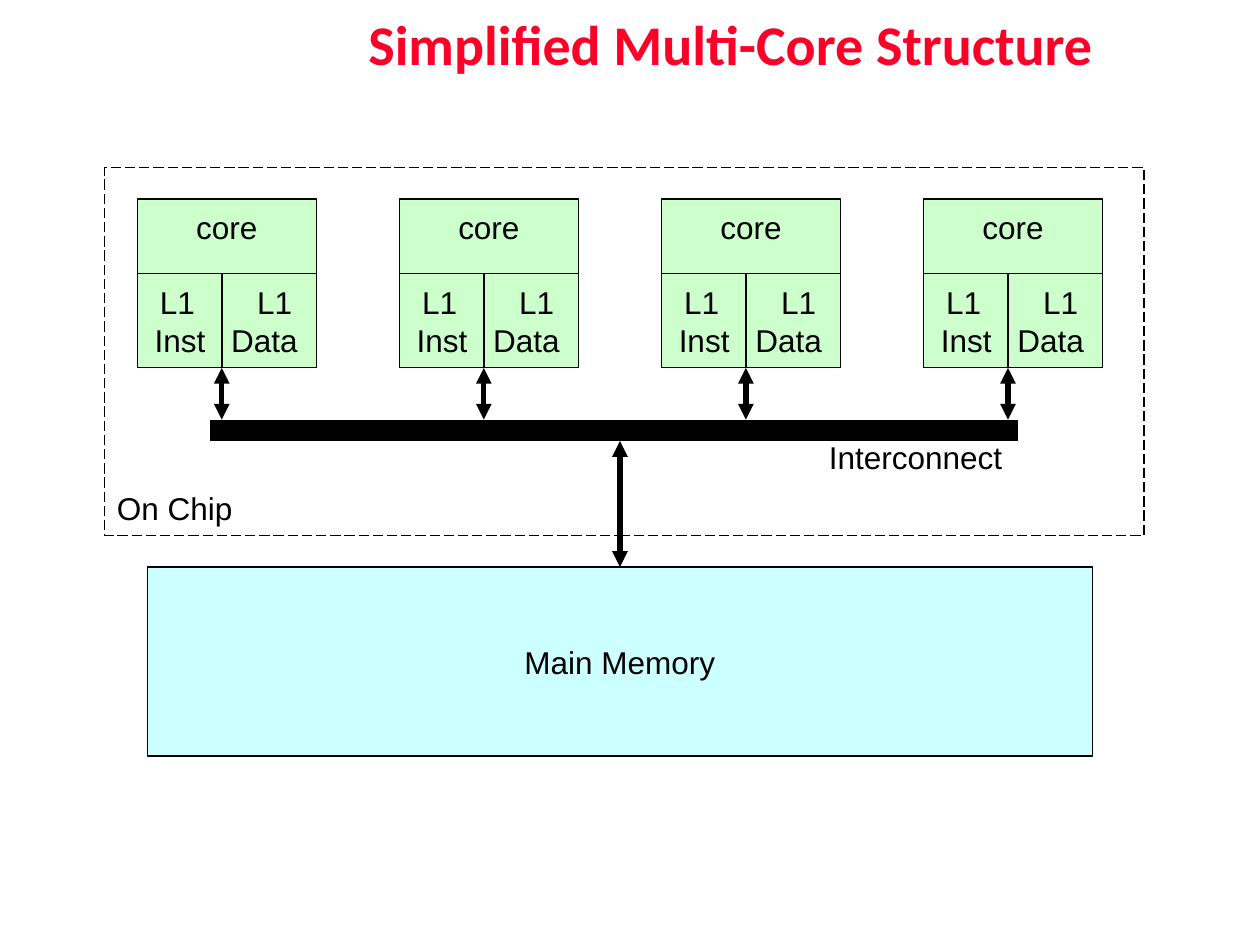
"""Build the multi-core structure slide."""
from dataclasses import dataclass

from lxml import etree
from pptx import Presentation
from pptx.dml import color as dye
from pptx.enum import dml, shapes, text
from pptx.oxml import ns
from pptx.util import Inches, Pt

HUES = {"black": "000000", "red": "FC0128", "green": "CCFFCC", "cyan": "CCFFFF"}
MID = text.PP_ALIGN.CENTER
LEFT = text.PP_ALIGN.LEFT


@dataclass
class Box:
    x: float
    y: float
    w: float
    h: float
    fill: str = ""


@dataclass
class Line:
    x1: float
    y1: float
    x2: float
    y2: float
    width: float = 1
    arrows: bool = False


@dataclass
class Para:
    words: str
    align: int = MID
    tabs: tuple = ()
    gap: float = 0
    size: float = 18
    face: str = "Arial"
    hue: str = "black"
    bold: bool = False


CORE = (
    Para("core"),
    Para("\tL1\tL1", LEFT, (0.22, 0.99), 21),
    Para("\tInst\tData", LEFT, (0.24, 0.91)),
)


def tint(color, hue: str) -> None:
    color.rgb = dye.RGBColor.from_string(HUES[hue])


def write(frame, paras: tuple) -> None:
    for i, item in enumerate(paras):
        para = frame.add_paragraph() if i else frame.paragraphs[0]
        para.text = item.words
        para.alignment = item.align
        if item.gap:
            para.space_before = Pt(item.gap)
        if item.tabs:
            stops = etree.SubElement(para._p.get_or_add_pPr(), ns.qn("a:tabLst"))
            for stop in item.tabs:
                etree.SubElement(stops, ns.qn("a:tab"), pos=str(Inches(stop)), algn="ctr")
        font = para.font
        font.size, font.name, font.bold = Pt(item.size), item.face, item.bold
        tint(font.color, item.hue)


def draw_box(slide, box: Box, paras: tuple = ()):
    rect = slide.shapes.add_shape(
        shapes.MSO_SHAPE.RECTANGLE,
        Inches(box.x), Inches(box.y), Inches(box.w), Inches(box.h))
    rect.shadow.inherit = False
    rect.line.width = Pt(0.75)
    tint(rect.line.color, "black")
    if box.fill:
        rect.fill.solid()
        tint(rect.fill.fore_color, box.fill)
    else:
        rect.fill.background()
    rect.text_frame.vertical_anchor = text.MSO_ANCHOR.MIDDLE
    write(rect.text_frame, paras)
    return rect


def draw_line(slide, line: Line):
    link = slide.shapes.add_connector(
        shapes.MSO_CONNECTOR.STRAIGHT,
        Inches(line.x1), Inches(line.y1), Inches(line.x2), Inches(line.y2))
    link.line.width = Pt(line.width)
    tint(link.line.color, "black")
    if line.arrows:
        for end in ("a:headEnd", "a:tailEnd"):
            etree.SubElement(link.line._ln, ns.qn(end), type="triangle")
    etree.SubElement(link._element.spPr, ns.qn("a:effectLst"))
    return link


def draw_text(slide, box: Box, para: Para, wrap: bool = False):
    area = slide.shapes.add_textbox(
        Inches(box.x), Inches(box.y), Inches(box.w), Inches(box.h))
    area.text_frame.word_wrap = wrap
    if not wrap:
        area.text_frame.auto_size = text.MSO_AUTO_SIZE.SHAPE_TO_FIT_TEXT
    write(area.text_frame, (para,))
    return area


def main() -> None:
    deck = Presentation()
    deck.slide_width, deck.slide_height = Inches(10), Inches(7.5)
    slide = deck.slides.add_slide(deck.slide_layouts[6])

    title = draw_text(
        slide, Box(1.66, 0, 8.28, 0.75),
        Para("Simplified Multi-Core Structure", size=32, face="Calibri",
             hue="red", bold=True), True)
    title.text_frame.vertical_anchor = text.MSO_ANCHOR.MIDDLE
    title.text_frame.paragraphs[0].line_spacing = 0.9

    lefts = [1.09 + 2.08 * i for i in range(4)]
    for x in lefts:
        draw_box(slide, Box(x, 1.58, 1.42, 1.34, "green"), CORE)
        draw_line(slide, Line(x, 2.17, x + 1.42, 2.17))
        draw_line(slide, Line(x + 0.67, 2.17, x + 0.67, 2.92))
    for x in lefts:
        draw_line(slide, Line(x + 0.67, 2.92, x + 0.67, 3.33, 3, True))

    draw_line(slide, Line(1.67, 3.42, 8.08, 3.42, 12))
    store = draw_box(slide, Box(1.17, 4.5, 7.5, 1.5, "cyan"), (Para("Main Memory"),))
    link = draw_line(slide, Line(4.92, 3.5, 4.92, 4.5, 3, True))
    link.end_connect(store, 0)

    chip = draw_box(slide, Box(0.83, 1.33, 8.25, 2.92))
    chip.line.dash_style = dml.MSO_LINE.LONG_DASH
    draw_text(slide, Box(0.83, 3.83, 1.14, 0.4), Para("On Chip", LEFT))
    draw_text(slide, Box(6.48, 3.43, 1.6, 0.4), Para("Interconnect", LEFT))
    deck.save("out.pptx")


if __name__ == "__main__":
    main()
